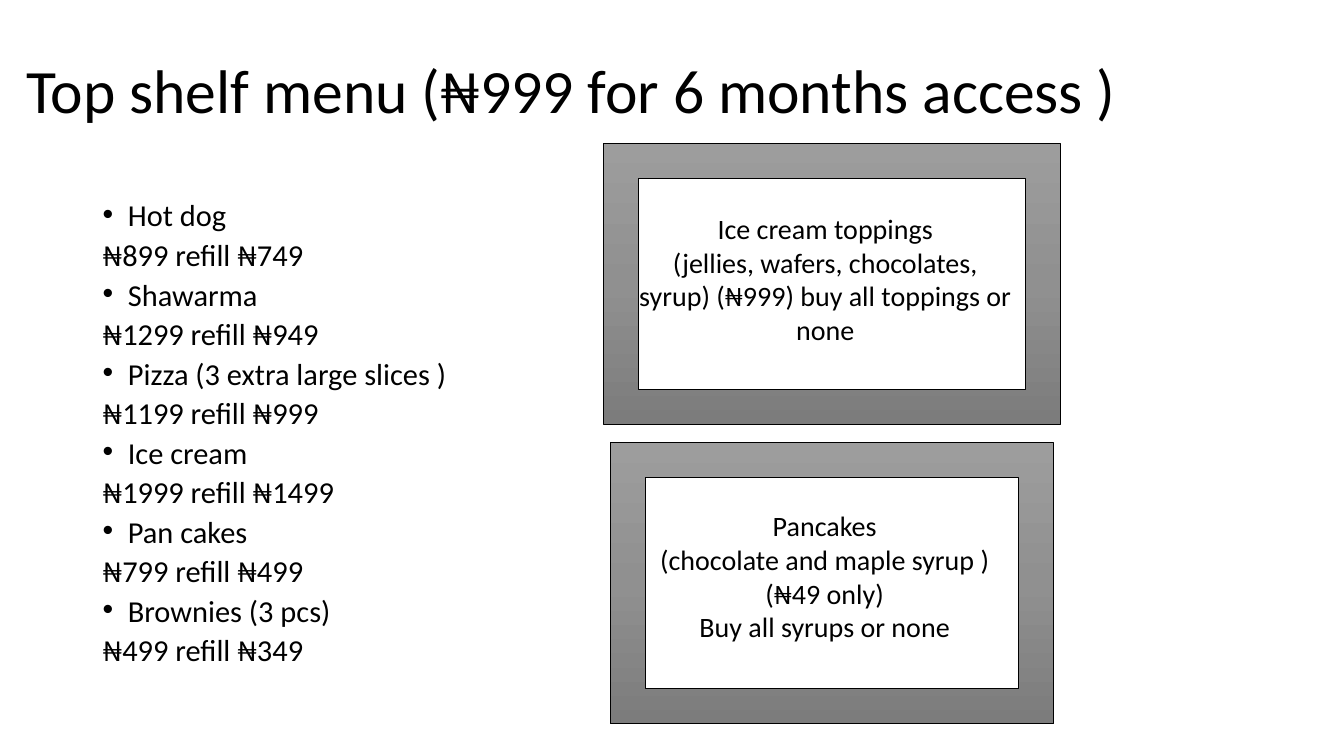
from copy import deepcopy
from dataclasses import dataclass

from lxml.etree import SubElement
from pptx import Presentation
from pptx.dml.color import RGBColor
from pptx.enum.shapes import MSO_SHAPE
from pptx.enum.text import MSO_ANCHOR, MSO_AUTO_SIZE, PP_ALIGN
from pptx.oxml.ns import qn
from pptx.util import Inches, Pt

# Content
TITLE = "Top shelf menu (₦999 for 6 months access )"
MENU = [
    ("Hot dog", "₦899 refill ₦749"),
    ("Shawarma", "₦1299 refill ₦949"),
    ("Pizza (3 extra large slices )", "₦1199 refill ₦999"),
    ("Ice cream", "₦1999 refill ₦1499"),
    ("Pan cakes", "₦799 refill ₦499"),
    ("Brownies (3 pcs)", "₦499 refill ₦349"),
]
# Each extra: lines, text area, frame area (left, top, width, height)
EXTRAS = [
    (["Ice cream toppings",
      "(jellies, wafers, chocolates, syrup) (₦999) buy all toppings or none"],
     (6.24, 2.05, 3.89, 1.45), (5.98, 1.42, 4.54, 2.79)),
    (["Pancakes", "(chocolate and maple syrup )", "(₦49 only)",
      "Buy all syrups or none"],
     (5.91, 5, 4.54, 1.75), (6.05, 4.39, 4.4, 2.79)),
]


@dataclass(frozen=True)
class Theme:
    font: str = "Calibri"
    ink: RGBColor = RGBColor(0, 0, 0)
    frame_shades: tuple = ("9D9D9D", "909090", "7C7C7C")
    title_size: float = 44
    menu_size: float = 21.7
    extra_size: float = 20


THEME = Theme()


def inches(area):
    return [Inches(length) for length in area]


def style(para, size):
    for span in para.runs:
        span.font.name = THEME.font
        span.font.size = Pt(size)
        span.font.color.rgb = THEME.ink


def add_text(page, area, lines, size):
    box = page.shapes.add_textbox(*inches(area))
    frame = box.text_frame
    frame.word_wrap = True
    frame.text = "\n".join(lines)
    for para in frame.paragraphs:
        style(para, size)
    return frame


def add_bullet(para):
    properties = para._p.get_or_add_pPr()
    properties.set("marL", str(Inches(0.25)))
    properties.set("indent", str(-Inches(0.25)))
    SubElement(properties, qn("a:buFont"), typeface="Arial")
    SubElement(properties, qn("a:buChar"), char="•")


def add_frame(page, area):
    shape = page.shapes.add_shape(MSO_SHAPE.FRAME, *inches(area))
    shape.shadow.inherit = False
    shape.line.color.rgb = THEME.ink
    shape.line.width = Pt(0.5)
    shape.fill.gradient()
    shape.fill.gradient_angle = 270
    # A third stop between the two default ones
    stop_list = shape._element.spPr.find(qn("a:gradFill")).find(qn("a:gsLst"))
    stop_list.insert(1, deepcopy(stop_list[0]))
    stops = shape.fill.gradient_stops
    for stop, shade, position in zip(stops, THEME.frame_shades, (0, 0.5, 1)):
        stop.color.rgb = RGBColor.from_string(shade)
        stop.position = position


def main():
    deck = Presentation()
    deck.slide_width, deck.slide_height = Inches(13.33), Inches(7.5)
    page = deck.slides.add_slide(deck.slide_layouts[5])

    # Title
    title = page.shapes.title
    title.left, title.top, title.width, title.height = inches((0.16, 0.2, 11.5, 1.45))
    title.text_frame.text = TITLE
    title.text_frame.vertical_anchor = MSO_ANCHOR.MIDDLE
    heading = title.text_frame.paragraphs[0]
    heading.alignment = PP_ALIGN.LEFT
    heading.line_spacing = 0.9
    style(heading, THEME.title_size)

    # Menu: bulleted dish, then its price
    lines = [line for dish in MENU for line in dish]
    menu = add_text(page, (0.92, 2, 11.5, 4.76), lines, THEME.menu_size)
    for index, para in enumerate(menu.paragraphs):
        para.line_spacing = 0.7
        para.space_before = Pt(10 if index else 0)
        if index % 2 == 0:
            add_bullet(para)

    # Framed extras
    for lines, text_area, frame_area in EXTRAS:
        extra = add_text(page, text_area, lines, THEME.extra_size)
        extra.auto_size = MSO_AUTO_SIZE.SHAPE_TO_FIT_TEXT
        for para in extra.paragraphs:
            para.alignment = PP_ALIGN.CENTER
        add_frame(page, frame_area)

    deck.save("out.pptx")


if __name__ == "__main__":
    main()
